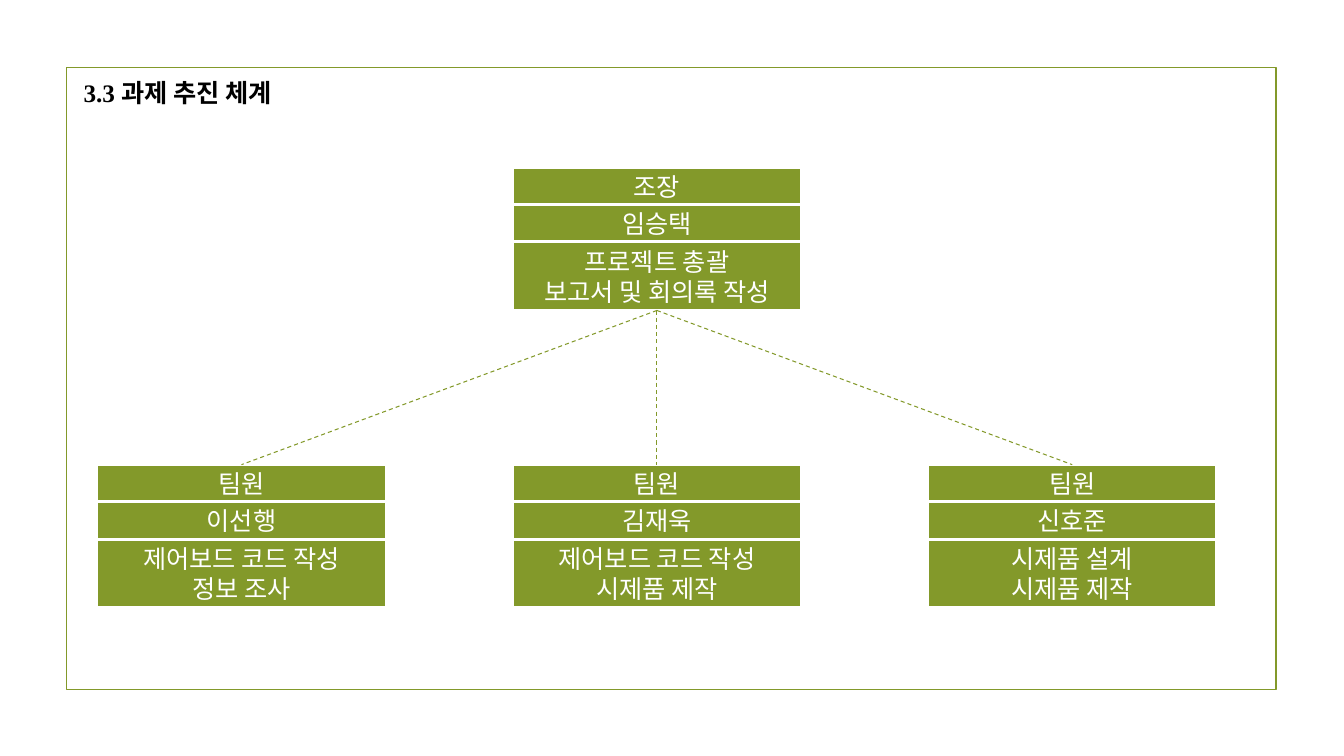
from dataclasses import dataclass

from lxml.etree import SubElement
from pptx import Presentation
from pptx.dml.color import RGBColor
from pptx.enum.dml import MSO_LINE_DASH_STYLE as Dash
from pptx.enum.shapes import MSO_CONNECTOR as Connector, MSO_SHAPE as Shape
from pptx.enum.text import MSO_ANCHOR as Anchor, PP_ALIGN as Align
from pptx.oxml.ns import qn
from pptx.util import Inches, Pt


@dataclass(frozen=True)
class Theme:
    green: RGBColor = RGBColor(0x83, 0x99, 0x2A)
    white: RGBColor = RGBColor(0xFF, 0xFF, 0xFF)
    black: RGBColor = RGBColor(0x00, 0x00, 0x00)
    font: str = "Times New Roman"
    text_size: Pt = Pt(18)
    frame_line: Pt = Pt(1.25)
    card_line: Pt = Pt(2)
    link_line: Pt = Pt(0.75)


theme = Theme()

deck = Presentation()
deck.slide_width, deck.slide_height = Inches(13.33), Inches(7.5)
slide = deck.slides.add_slide(deck.slide_layouts[6])


def write_lines(text_frame, lines, color, bold=False, align=Align.CENTER):
    for index, line in enumerate(lines):
        paragraph = text_frame.paragraphs[0] if index == 0 else text_frame.add_paragraph()
        paragraph.alignment = align
        run = paragraph.add_run()
        run.text = line
        run.font.name = theme.font
        run.font.size = theme.text_size
        run.font.bold = bold
        run.font.color.rgb = color


def add_box(left, top, width, height, line_color, line_width):
    """Add a shadowless, unfilled rectangle measured in inches."""
    box = slide.shapes.add_shape(
        Shape.RECTANGLE, Inches(left), Inches(top), Inches(width), Inches(height))
    box.shadow.inherit = False
    box.fill.background()
    box.line.color.rgb = line_color
    box.line.width = line_width
    return box


# Frame and heading
add_box(0.66, 0.67, 12, 6.17, theme.green, theme.frame_line)
heading = slide.shapes.add_textbox(Inches(0.73), Inches(0.72), Inches(2.18), Inches(0.4))
heading.text_frame.word_wrap = False
write_lines(heading.text_frame, ["3.3 과제 추진 체계"], theme.black, bold=True, align=Align.LEFT)

# Chart grid: three columns, two levels, three stacked rows per card
first_column, column_step, card_width = 0.96, 4.12, 2.87
row_heights = (0.37, 0.37, 0.68)
leader_top, member_top = 1.66, 4.61
leader_column = 1

cards = [
    (leader_column, leader_top, "조장", "임승택", ["프로젝트 총괄", "보고서 및 회의록 작성"]),
    (0, member_top, "팀원", "이선행", ["제어보드 코드 작성", "정보 조사"]),
    (1, member_top, "팀원", "김재욱", ["제어보드 코드 작성", "시제품 제작"]),
    (2, member_top, "팀원", "신호준", ["시제품 설계", "시제품 제작"]),
]

for column, top, role, person, duties in cards:
    left = first_column + column * column_step
    for lines, height in zip(([role], [person], duties), row_heights):
        row = add_box(left, top, card_width, height, theme.white, theme.card_line)
        row.fill.solid()
        row.fill.fore_color.rgb = theme.green
        row.text_frame.word_wrap = True
        row.text_frame.vertical_anchor = Anchor.MIDDLE
        write_lines(row.text_frame, lines, theme.white)
        top += height

# Dashed links from the leader to each member
centers = [first_column + column * column_step + card_width / 2 for column in range(3)]
leader_bottom = leader_top + sum(row_heights)
for member_center in centers:
    link = slide.shapes.add_connector(
        Connector.STRAIGHT, Inches(centers[leader_column]), Inches(leader_bottom),
        Inches(member_center), Inches(member_top))
    link.line.color.rgb = theme.green
    link.line.width = theme.link_line
    link.line.dash_style = Dash.DASH
    SubElement(link._element.spPr, qn("a:effectLst"))

deck.save("out.pptx")
